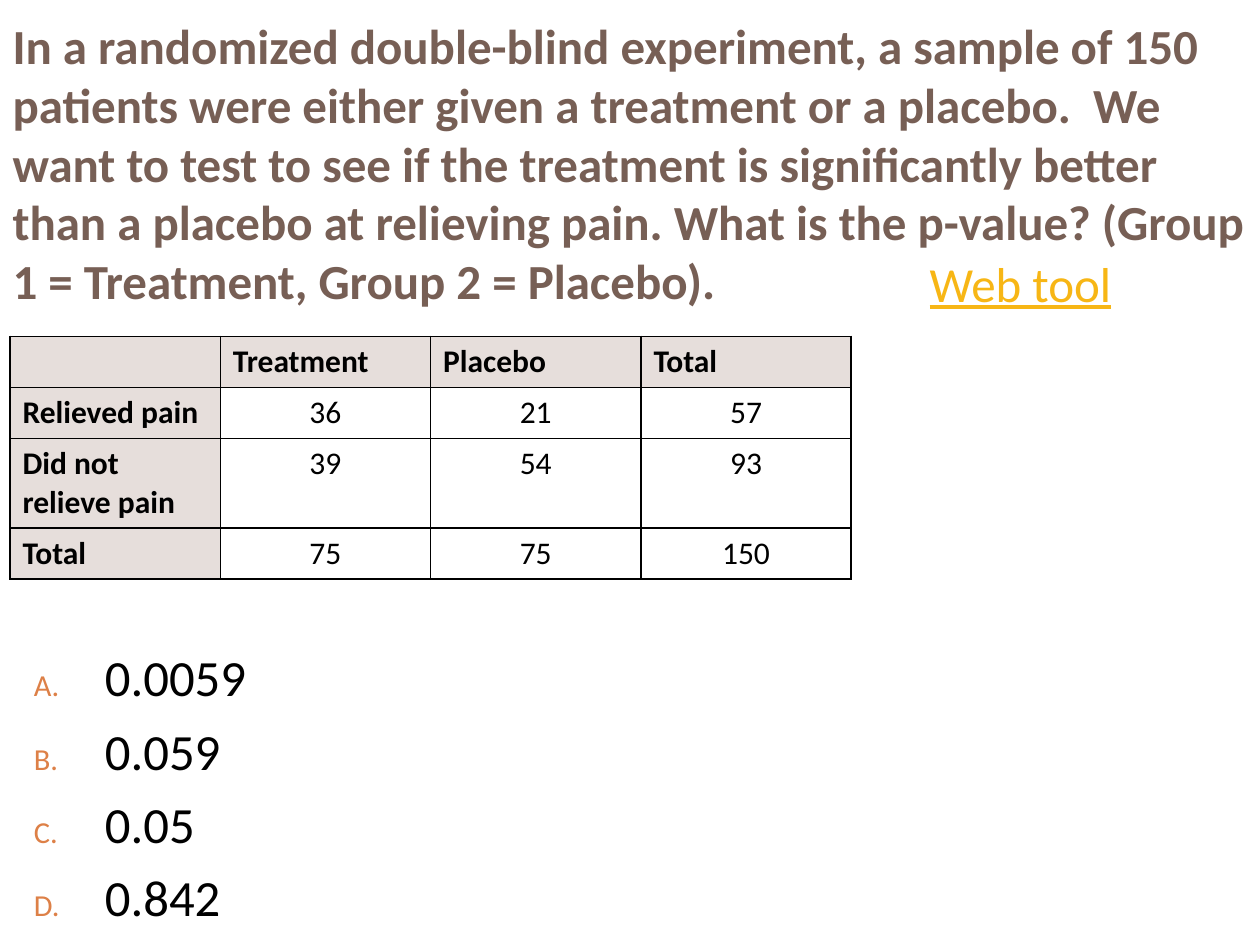
import pptx
import pptx.dml.color
import pptx.enum.text
import pptx.oxml
import pptx.oxml.ns
import pptx.util
from lxml import etree

Cm = pptx.util.Cm
Pt = pptx.util.Pt
ALIGN = pptx.enum.text.PP_ALIGN
ANCHOR = pptx.enum.text.MSO_ANCHOR
AUTO_SIZE = pptx.enum.text.MSO_AUTO_SIZE

QUESTION = (
    "In a randomized double-blind experiment, a sample of 150 patients were either "
    "given a treatment or a placebo.  We want to test to see if the treatment is "
    "significantly better than a placebo at relieving pain. What is the p-value? "
    "(Group 1 = Treatment, Group 2 = Placebo)."
)
RESULTS = [
    ["", "Treatment", "Placebo", "Total"],
    ["Relieved pain", "36", "21", "57"],
    ["Did not relieve pain", "39", "54", "93"],
    ["Total", "75", "75", "150"],
]
ANSWERS = ["0.0059", "0.059", "0.05", "0.842"]


def rgb(value):
    return pptx.dml.color.RGBColor.from_string(value)


def write(p, text, size=18, color="000000", bold=False, underline=False,
          align=ALIGN.LEFT, font="Calibri"):
    p.alignment = align
    r = p.add_run()
    r.text = text
    r.font.name = font
    r.font.size = Pt(size)
    r.font.bold = bold
    r.font.underline = underline
    r.font.color.rgb = rgb(color)


def add_xml(parent, xml):
    """Append a drawing element given without its namespace declaration."""
    head, sep, rest = xml.partition(" ")
    ns = pptx.oxml.ns.nsdecls("a")
    parent.append(pptx.oxml.parse_xml(f"{head} {ns}{sep}{rest}"))


class SlideBuilder:
    title_color = "775F55"
    bullet_color = "DD8047"
    link_color = "F7B615"
    header_fill = "E6DEDB"
    border_color = "000000"

    def __init__(self, prs):
        self.slide = prs.slides.add_slide(prs.slide_layouts[1])

    def place(self, sp, left, top, width, height):
        sp.left, sp.top = Cm(left), Cm(top)
        sp.width, sp.height = Cm(width), Cm(height)
        tf = sp.text_frame
        tf.word_wrap = True
        tf.auto_size = AUTO_SIZE.NONE
        return tf

    def title(self, text, *box):
        tf = self.place(self.slide.shapes.title, *box)
        tf.vertical_anchor = ANCHOR.MIDDLE
        write(tf.paragraphs[0], text, size=28, color=self.title_color, bold=True)

    def lettered_list(self, items, *box):
        tf = self.place(self.slide.placeholders[1], *box)
        tf.vertical_anchor = ANCHOR.TOP
        for i, item in enumerate(items):
            p = tf.add_paragraph() if i else tf.paragraphs[0]
            pPr = p._p.get_or_add_pPr()
            pPr.set("marL", str(Cm(1.43)))
            pPr.set("indent", str(-Cm(1.43)))
            add_xml(pPr, f'<a:buClr ><a:srgbClr val="{self.bullet_color}"/></a:buClr>')
            add_xml(pPr, '<a:buSzPct val="60000"/>')
            add_xml(pPr, '<a:buFont typeface="+mj-lt"/>')
            add_xml(pPr, '<a:buAutoNum type="alphaUcPeriod"/>')
            p.space_before = Pt(7 if i else 0)
            write(p, item, size=29)

    def cell_borders(self, cell):
        tcPr = cell._tc.get_or_add_tcPr()
        for side in ("lnL", "lnR", "lnT", "lnB"):
            add_xml(tcPr, f'<a:{side} w="{Pt(1)}"><a:solidFill>'
                          f'<a:srgbClr val="{self.border_color}"/>'
                          f'</a:solidFill></a:{side}>')

    def table(self, rows, left, top, col_width, row_heights):
        table = self.slide.shapes.add_table(
            len(rows), len(rows[0]), Cm(left), Cm(top),
            Cm(col_width * len(rows[0])), Cm(sum(row_heights))).table
        for col in table.columns:
            col.width = Cm(col_width)
        for i, values in enumerate(rows):
            table.rows[i].height = Cm(row_heights[i])
            for j, value in enumerate(values):
                cell = table.cell(i, j)
                header = i == 0 or j == 0
                self.cell_borders(cell)
                if header:
                    cell.fill.solid()
                    cell.fill.fore_color.rgb = rgb(self.header_fill)
                else:
                    cell.fill.background()
                if value:
                    write(cell.text_frame.paragraphs[0], value, bold=header,
                          align=ALIGN.LEFT if header else ALIGN.CENTER)

    def link_label(self, text, *box):
        sp = self.slide.shapes.add_textbox(0, 0, 0, 0)
        tf = self.place(sp, *box)
        write(tf.paragraphs[0], text, size=28, color=self.link_color, underline=True)


def main():
    prs = pptx.Presentation()
    prs.slide_width, prs.slide_height = Cm(25.4), Cm(19.05)
    s = SlideBuilder(prs)
    s.title(QUESTION, 0, 0.2, 25.4, 6.15)
    s.lettered_list(ANSWERS, 0.43, 12.9, 5.72, 6.12)
    s.table(RESULTS, 0.2, 6.78, 4.24, [1.03, 1.03, 1.8, 1.03])
    s.link_label("Web tool", 18.49, 4.98, 6.55, 1.45)
    prs.save("out.pptx")


if __name__ == "__main__":
    main()
